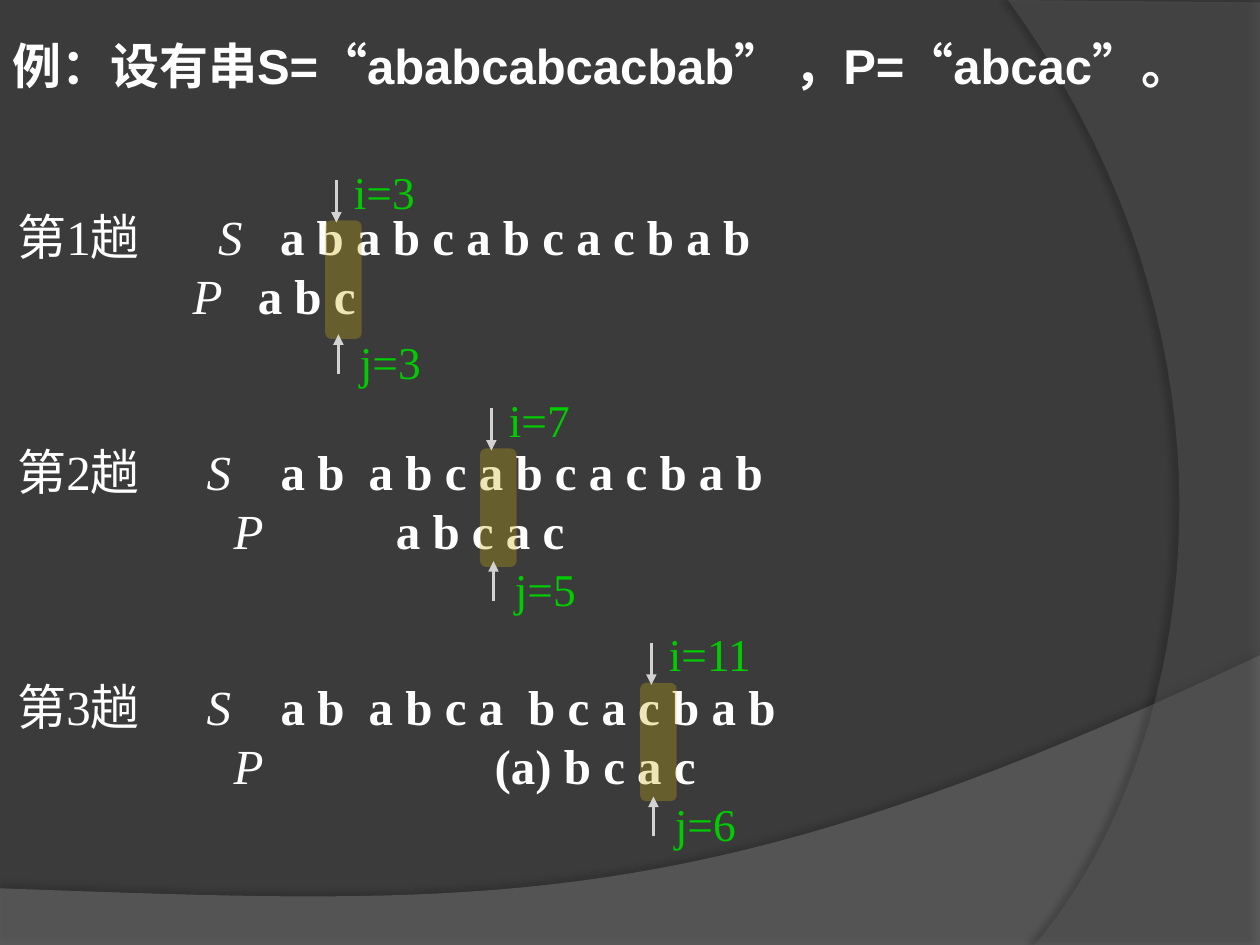
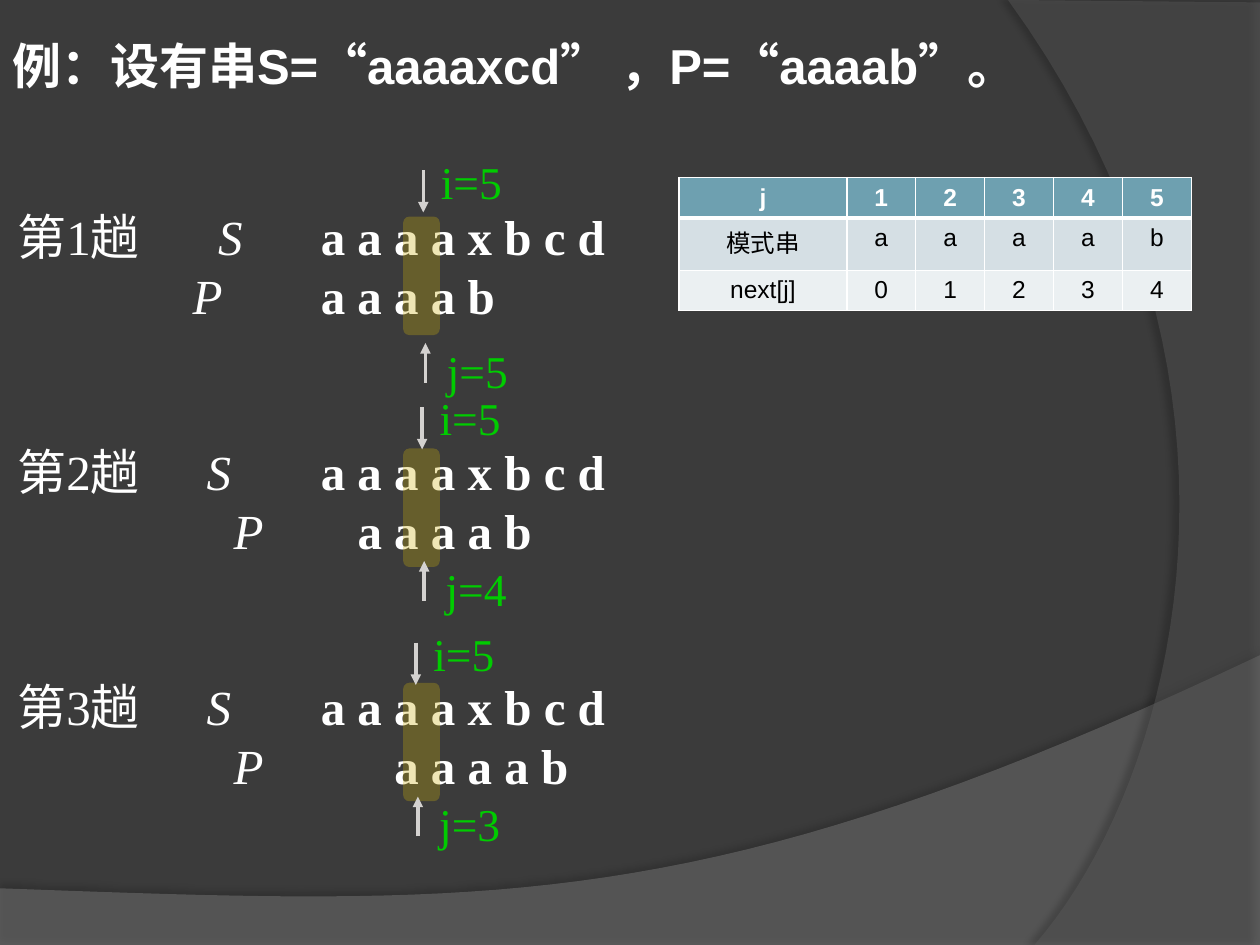
"""Two slides that trace string matching pass by pass."""
from lxml import etree
from pptx import Presentation
from pptx import util as u
from pptx.dml.color import RGBColor
from pptx.enum import lang, shapes, text
from pptx.oxml import ns

COLORS = {
    "back": "3B3B3B", "floor": "7F7F7F", "side": "5E5E5E", "black": "000000",
    "white": "FFFFFF", "label": "00CC00", "mark": "CCAF0A", "arrow": "D4D2D0",
    "head": "6EA0B0", "odd": "D5DFE4", "even": "EBF0F2",
}
SERIF, SANS = "Times New Roman", "Arial"
LINE_PITCH = 33.57


def child(parent, tag, **attributes):
    node = etree.SubElement(parent, ns.qn(tag))
    for name, value in attributes.items():
        node.set(name, str(value))
    return node


def color(name):
    return RGBColor.from_string(COLORS[name])


def bezier(start, first, second, end, steps=40):
    points = []
    for step in range(1, steps + 1):
        t = step / steps
        weights = ((1 - t) ** 3, 3 * t * (1 - t) ** 2, 3 * t * t * (1 - t), t ** 3)
        points.append(tuple(
            sum(w * p[axis] for w, p in zip(weights, (start, first, second, end)))
            for axis in (0, 1)))
    return points


class SlideWriter:
    def __init__(self):
        self.deck = Presentation()
        self.deck.slide_width, self.deck.slide_height = u.Pt(720), u.Pt(540)
        self.page = None

    def new_page(self):
        self.page = self.deck.slides.add_slide(self.deck.slide_layouts[6])
        fill = self.page.background.fill
        fill.solid()
        fill.fore_color.rgb = color("back")
        curve = bezier((720, 374.4), (402.5, 524.9), (281.5, 517.7), (0, 507.6))
        self.band([(0, 507.6), (0, 540.7), (720, 540.7), (720, 374.4)] + curve,
                  "floor", 45, 35, 3.5, 270)
        curve = bezier((591.1, 540), (673.2, 445.7), (733, 216), (576, 0))
        self.band([(720, 1.4), (720, 540), (591.1, 540)] + curve,
                  "side", 40, 45, 4, 180)

    def paint(self, shape, name, opacity):
        shape.fill.solid()
        shape.fill.fore_color.rgb = color(name)
        shape.line.fill.background()
        shape.shadow.inherit = False
        tone = shape.fill._xPr.find(ns.qn("a:solidFill"))[0]
        child(tone, "a:alpha", val=opacity * 1000)

    def band(self, points, name, opacity, shade, distance, angle):
        points = [(u.Pt(x), u.Pt(y)) for x, y in points]
        builder = self.page.shapes.build_freeform(*points[0], scale=1.0)
        builder.add_line_segments(points[1:], close=True)
        shape = builder.convert_to_shape()
        self.paint(shape, name, opacity)
        effects = shape._element.spPr.find(ns.qn("a:effectLst"))
        shadow = child(effects, "a:outerShdw", blurRad=u.Pt(4), dist=u.Pt(distance),
                       dir=angle * 60000, algn="ctr", rotWithShape=0)
        tone = child(shadow, "a:srgbClr", val=COLORS["black"])
        child(tone, "a:alpha", val=shade * 1000)

    def style(self, span, size, face, name, bold=False, italic=False):
        font = span.font
        font.size, font.name = u.Pt(size), face
        font.bold, font.italic = bold, italic
        font.color.rgb = color(name)

    def text_box(self, parent, left, top, width, height):
        box = parent.shapes.add_textbox(*map(u.Pt, (left, top, width, height)))
        box.text_frame.word_wrap = True
        return box.text_frame

    def title(self, words):
        frame = self.text_box(self.page, 0, 16.6, 708.5, 41)
        frame.text = words
        span = frame.paragraphs[0].runs[0]
        self.style(span, 28, SANS, "white", bold=True)
        span.font.language_id = lang.MSO_LANGUAGE_ID.SIMPLIFIED_CHINESE

    def trace(self, rows):
        """Write two tabbed lines per pass as (first cell, stops, symbol, letters)."""
        frame = self.text_box(self.page, 0, 114.5, 697.7, 391.7)
        frame.margin_left = u.Pt(10)
        for index, (stops, label, symbol, letters) in enumerate(rows):
            para = frame.paragraphs[0] if index == 0 else frame.add_paragraph()
            para.line_spacing = u.Pt(LINE_PITCH)
            starts_pass = index > 0 and index % 2 == 0
            para.space_before = u.Pt(2 * LINE_PITCH if starts_pass else 0)
            tabs = child(para._p.get_or_add_pPr(), "a:tabLst")
            for stop in stops:
                child(tabs, "a:tab", pos=u.Pt(stop), algn="l")
            cells = ((label + "\t", False, False), (symbol + "\t", False, True),
                     (letters, True, False))
            for words, bold, italic in cells:
                span = para.add_run()
                span.text = words
                self.style(span, 28, SERIF, "white", bold, italic)

    def label(self, parent, left, top, words):
        frame = self.text_box(parent, left, top, 63, 38.4)
        frame.text = words
        self.style(frame.paragraphs[0].runs[0], 26, SERIF, "label")

    def arrow(self, parent, x, start, end):
        line = parent.shapes.add_connector(
            shapes.MSO_CONNECTOR.STRAIGHT, *map(u.Pt, (x, start, x, end)))
        line.line.width = u.Pt(2)
        line.line.color.rgb = color("arrow")
        child(line.line._get_or_add_ln(), "a:tailEnd", type="triangle")
        child(line._element.spPr, "a:effectLst")

    def cursor(self, left, top, x, i_top, j_top, i, j):
        group = self.page.shapes.add_group_shape()
        mark = group.shapes.add_shape(shapes.MSO_SHAPE.ROUNDED_RECTANGLE,
                                      *map(u.Pt, (left, top, 20.9, 67.7)))
        self.paint(mark, "mark", 30)
        self.label(group, x + 2.9, i_top, f"i={i}")
        self.arrow(group, x, i_top + 13, i_top + 37.2)
        self.arrow(group, x + 1.2, j_top + 26.6, j_top + 3.8)
        self.label(group, x + 6.3, j_top, f"j={j}")

    def table(self, rows):
        widths, heights = [95.8] + [39.4] * 5, [22.5, 30, 22.5]
        grid = self.page.shapes.add_table(
            len(rows), len(widths),
            *map(u.Pt, (388.1, 101.5, sum(widths), sum(heights)))).table
        for column, width in zip(grid.columns, widths):
            column.width = u.Pt(width)
        fills = ("head", "odd", "even")
        for index, (row, height) in enumerate(zip(grid.rows, heights)):
            row.height = u.Pt(height)
            for cell, words in zip(row.cells, rows[index]):
                self.cell(cell, words, fills[index], index)

    def cell(self, cell, words, fill, index):
        cell.text = words
        para = cell.text_frame.paragraphs[0]
        para.alignment = text.PP_ALIGN.CENTER
        is_head = index == 0
        self.style(para.runs[0], 14, SANS, "white" if is_head else "black", is_head)
        properties = cell._tc.get_or_add_tcPr()
        for side in "LRTB":
            thick = (index, side) in ((0, "B"), (1, "T"))
            edge = child(properties, f"a:ln{side}", w=u.Pt(3 if thick else 1))
            child(child(edge, "a:solidFill"), "a:srgbClr", val=COLORS["white"])
        cell.fill.solid()
        cell.fill.fore_color.rgb = color(fill)


writer = SlideWriter()

writer.new_page()
writer.trace([
    ((114.6, 150), "第1趟", "S", "a b a b c a b c a c b a b"),
    ((100, 137.3), "", "P", "a b c"),
    ((108, 150.4, 200.7), "第2趟", "S", "a b\ta b c a b c a c b a b"),
    ((123.5, 216.2), "", "P", "a b c a c"),
    ((108, 150.4, 200.7, 291.8), "第3趟", "S", "a b\ta b c a\tb c a c b a b"),
    ((123.5, 272.6), "", "P", "(a) b c a c"),
])
writer.cursor(185.8, 126, 192.2, 90, 187.2, 3, 3)
writer.cursor(274.3, 256.3, 280.8, 220.3, 316.8, 7, 5)
writer.cursor(365.8, 390.2, 372.2, 354.2, 451.4, 11, 6)
writer.title("例：设有串S=“ababcabcacbab” ，P=“abcac”。")

writer.new_page()
writer.table([
    ["j", "1", "2", "3", "4", "5"],
    ["模式串", "a", "a", "a", "a", "b"],
    ["next[j]", "0", "1", "2", "3", "4"],
])
rows = []
for shift, (s_stop, p_stop) in enumerate([(114.6, 100), (108, 123.5), (108, 123.5)]):
    rows.append(((s_stop, 173.3), f"第{shift + 1}趟", "S", "a a a a x b c d"))
    rows.append(((p_stop, 173.3 + 21 * shift), "", "P", "a a a a b"))
writer.trace(rows)
writer.cursor(230.4, 123.8, 241.9, 84.2, 192.2, 5, 5)
writer.cursor(230.4, 256.3, 241.2, 219.6, 316.8, 5, 4)
writer.cursor(230.4, 390.2, 237.6, 354.2, 451.4, 5, 3)
writer.title("例：设有串S=“aaaaxcd” ，P=“aaaab”。")

writer.deck.save("out.pptx")
